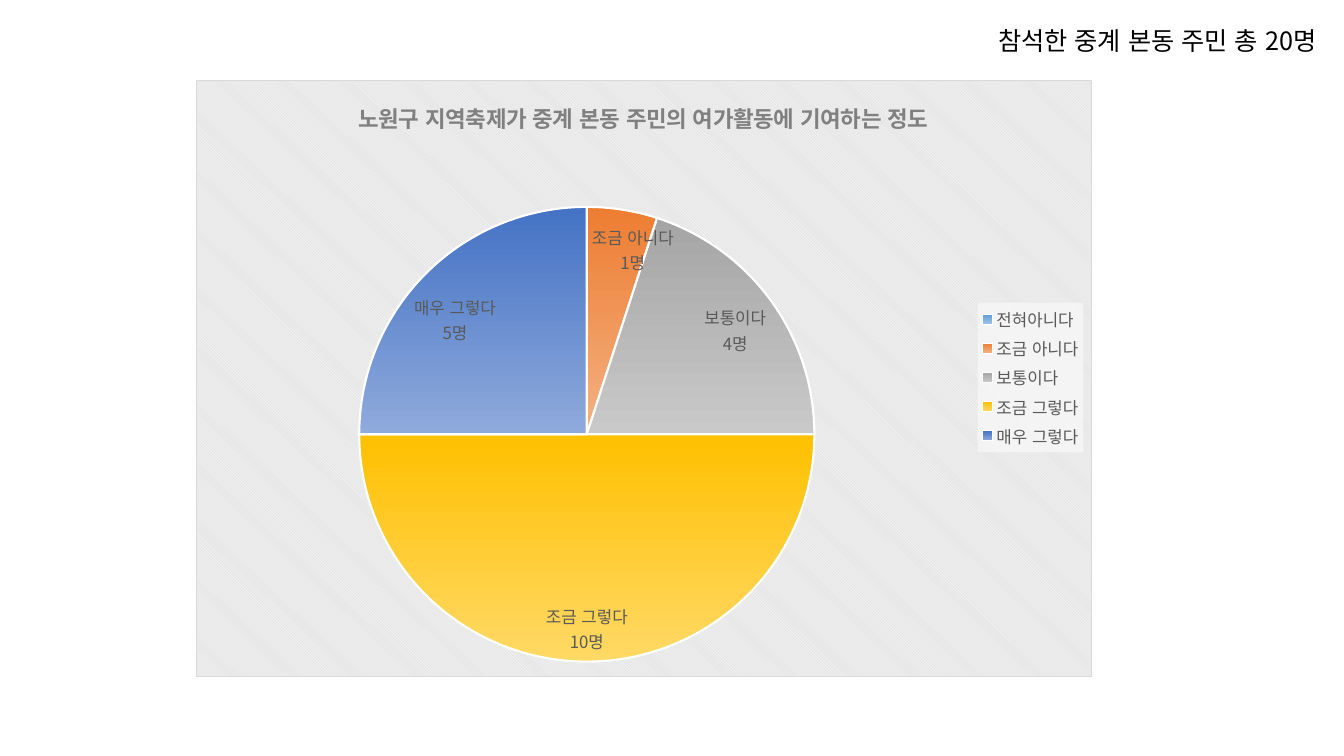
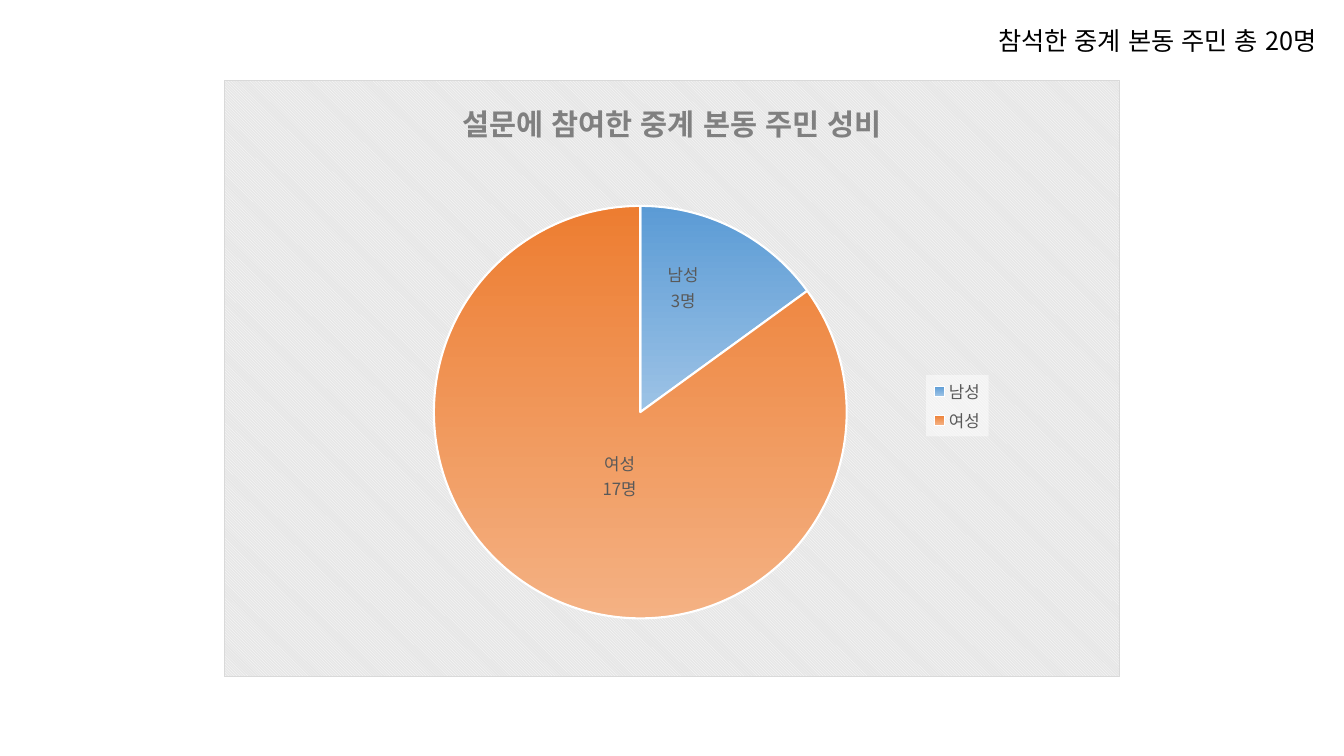
import pptx
import pptx.chart.data
import pptx.dml.color
import pptx.enum.chart
import pptx.enum.lang
import pptx.enum.text
import pptx.oxml
import pptx.oxml.ns
import pptx.util

Inches = pptx.util.Inches
Pt = pptx.util.Pt
SPOT = pptx.enum.chart.XL_LABEL_POSITION
FONT = "Noto Sans CJK KR"
HUES = {
    "ink": "000000", "title": "808080", "label": "595959", "white": "FFFFFF",
    "back": "E6E6E6", "edge": "D9D9D9",
    "blue": "5B9BD5", "sky": "9DC3E6", "orange": "ED7D31", "peach": "F4B183",
    "gray": "A5A5A5", "silver": "C9C9C9", "gold": "FFC000", "sand": "FFD966",
    "navy": "4472C4", "steel": "8FAADC",
}
FADES = [("blue", "sky"), ("orange", "peach"), ("gray", "silver"),
         ("gold", "sand"), ("navy", "steel")]
SPACE = ('xmlns:c="http://schemas.openxmlformats.org/drawingml/2006/chart" '
         'xmlns:a="http://schemas.openxmlformats.org/drawingml/2006/main"')
WIDE, HIGH = 8.89, 5.93
NOTE = "참석한 중계 본동 주민 총 20명"
SURVEYS = [
    {
        "title": "노원구 지역축제가 중계 본동 주민의 여가활동에 기여하는 정도",
        "size": 16, "left": 1.94,
        "names": ["전혀아니다", "조금 아니다", "보통이다", "조금 그렇다", "매우 그렇다"],
        "counts": [None, 1, 4, 10, 5],
        "shifts": [None, (0.28, -0.72), (0.56, -0.37), (0, 0.8), (-0.51, -0.34)],
        "spot": SPOT.BEST_FIT,
        "head": (1.57, 0.15),
        "pie": (1.62, 1.26, 4.52, 4.52),
        "key": (7.76, 2.21, 1.05, 1.49),
    },
    {
        "title": "설문에 참여한 중계 본동 주민 성비",
        "size": 21, "left": 2.22,
        "names": ["남성", "여성"],
        "counts": [3, 17],
        "shifts": [(-0.04, -0.33), (0.26, -0.28)],
        "spot": SPOT.OUTSIDE_END,
        "head": (2.31, 0.13),
        "pie": (2.08, 1.25, 4.1, 4.1),
        "key": (6.97, 2.93, 0.62, 0.61),
    },
]


def hue(name):
    return pptx.dml.color.RGBColor.from_string(HUES[name])


def style(font, size, color, bold=False):
    font.name = FONT
    font.size = Pt(size)
    font.bold = bold
    font.color.rgb = hue(color)
    font.language_id = pptx.enum.lang.MSO_LANGUAGE_ID.KOREAN
    find(font._element, "a:latin").addnext(
        pptx.oxml.parse_xml(f'<a:ea {SPACE} typeface="{FONT}"/>'))


def write(para, text, size, color, bold=False):
    run = para.add_run()
    run.text = text
    style(run.font, size, color, bold)


def find(node, tag):
    return node.find(pptx.oxml.ns.qn(tag))


def layout(node, box, after=None, edge=True, inner=False):
    old = find(node, "c:layout")
    if old is not None:
        node.remove(old)
    parts = ['<c:layoutTarget val="inner"/>'] if inner else []
    if edge:
        parts += ['<c:xMode val="edge"/>', '<c:yMode val="edge"/>']
    for tag, size, full in zip("xywh", box, (WIDE, HIGH, WIDE, HIGH)):
        parts.append(f'<c:{tag} val="{size / full:.4f}"/>')
    new = pptx.oxml.parse_xml(
        f'<c:layout {SPACE}><c:manualLayout>{"".join(parts)}'
        '</c:manualLayout></c:layout>')
    if after is None:
        node.insert(0, new)
    else:
        find(node, after).addnext(new)


def paint(node, fill):
    node.addnext(pptx.oxml.parse_xml(f'<c:spPr {SPACE}>{fill}</c:spPr>'))


def backdrop(chart):
    paint(chart._chartSpace.chart, (
        '<a:pattFill prst="dkDnDiag">'
        f'<a:fgClr><a:srgbClr val="{HUES["white"]}"/></a:fgClr>'
        f'<a:bgClr><a:srgbClr val="{HUES["back"]}"/></a:bgClr></a:pattFill>'
        f'<a:ln w="{Pt(0.75)}"><a:solidFill><a:srgbClr val="{HUES["edge"]}"/>'
        '</a:solidFill></a:ln>'))


def heading(chart, survey):
    title = chart.chart_title
    para = title.text_frame.paragraphs[0]
    write(para, survey["title"], survey["size"], "title", True)
    layout(title._element, survey["head"], "c:tx")


def legend(chart, box):
    chart.has_legend = True
    key = chart.legend
    key.position = pptx.enum.chart.XL_LEGEND_POSITION.RIGHT
    key.include_in_layout = False
    style(key.font, 12, "label")
    layout(key._element, box, "c:legendPos")
    paint(find(key._element, "c:overlay"), (
        f'<a:solidFill><a:srgbClr val="{HUES["white"]}">'
        '<a:alpha val="50000"/></a:srgbClr></a:solidFill>'))


def label(point, name, count, shift):
    tag = point.data_label
    frame = tag.text_frame
    write(frame.paragraphs[0], name, 12, "label")
    write(frame.add_paragraph(), f"{count}명", 12, "label")
    tag.position = SPOT.CENTER
    find(tag._dLbl, "c:showCatName").set("val", "1")
    layout(tag._dLbl, shift, "c:idx", edge=False)


def slices(chart, survey):
    plot = chart.plots[0]
    plot.vary_by_categories = True
    series = plot.series[0]
    tags = series.data_labels
    tags.show_value = True
    tags.show_category_name = True
    tags.show_percentage = False
    tags.position = survey["spot"]
    style(tags.font, 12, "label")
    rows = zip(survey["names"], survey["counts"], survey["shifts"], FADES)
    for spot, (name, count, shift, fade) in enumerate(rows):
        point = series.points[spot]
        fill = point.format.fill
        fill.gradient()
        fill.gradient_angle = 270
        for stop, color in zip(fill.gradient_stops, fade):
            stop.color.rgb = hue(color)
        point.format.line.color.rgb = hue("white")
        point.format.line.width = Pt(1.5)
        if count is not None:
            label(point, name, count, shift)
    layout(chart._chartSpace.chart.plotArea, survey["pie"], inner=True)


def graph(slide, survey, left, top):
    data = pptx.chart.data.CategoryChartData()
    data.categories = survey["names"]
    data.add_series("Series 1", survey["counts"])
    chart = slide.shapes.add_chart(
        pptx.enum.chart.XL_CHART_TYPE.PIE, Inches(left), Inches(top),
        Inches(WIDE), Inches(HIGH), data).chart
    style(chart.font, 10, "ink")
    backdrop(chart)
    heading(chart, survey)
    legend(chart, survey["key"])
    slices(chart, survey)


def note(slide, left, top, wide, high):
    box = slide.shapes.add_textbox(
        Inches(left), Inches(top), Inches(wide), Inches(high))
    frame = box.text_frame
    frame.word_wrap = False
    frame.auto_size = pptx.enum.text.MSO_AUTO_SIZE.SHAPE_TO_FIT_TEXT
    write(frame.paragraphs[0], NOTE, 18, "ink")


def main():
    deck = pptx.Presentation()
    deck.slide_width = Inches(13.33)
    deck.slide_height = Inches(7.5)
    for survey in SURVEYS:
        slide = deck.slides.add_slide(deck.slide_layouts[6])
        graph(slide, survey, survey["left"], 0.79)
        note(slide, 9.8, 0.2, 3.78, 0.4)
    deck.save("out.pptx")


if __name__ == "__main__":
    main()
